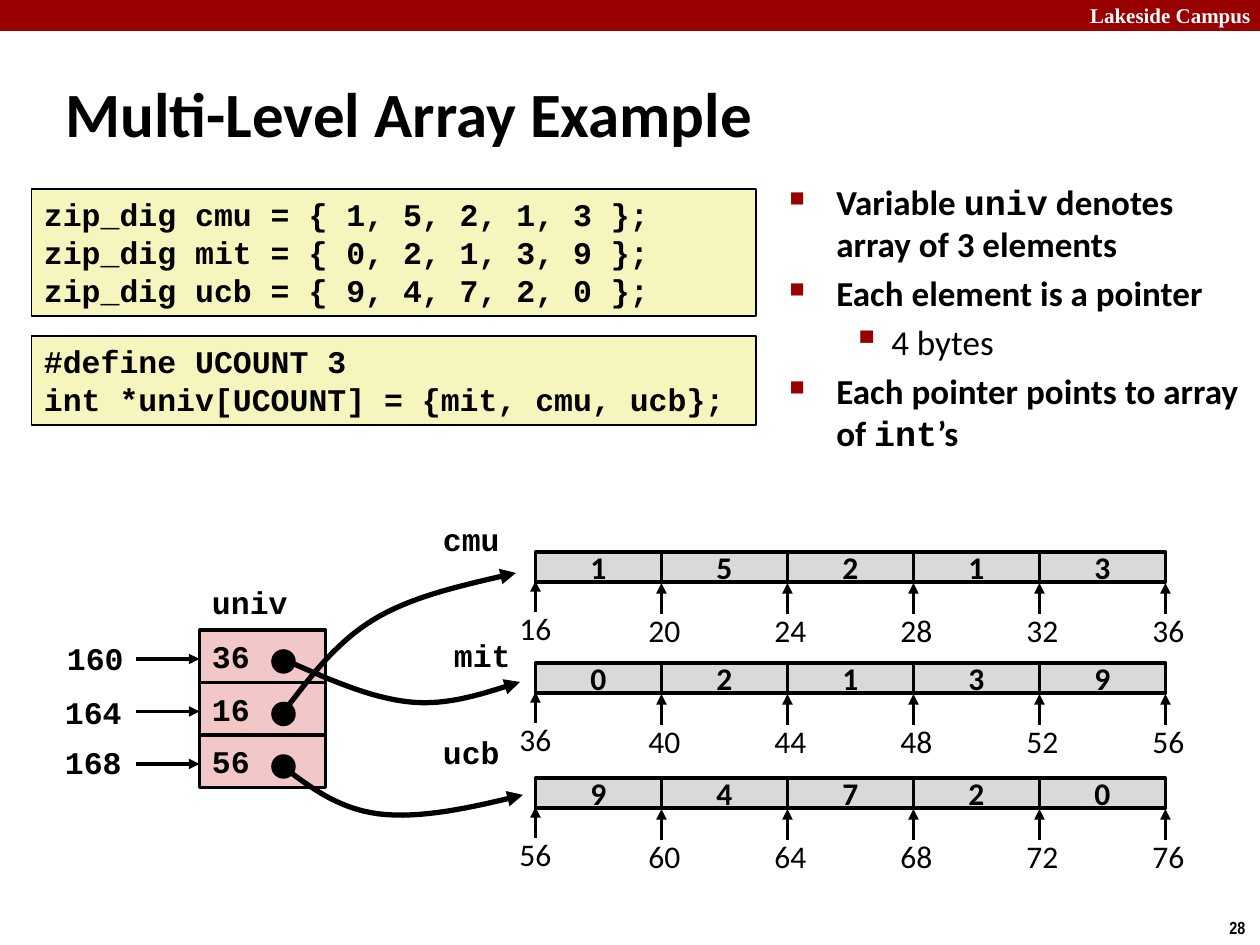
from lxml.etree import SubElement
from pptx import Presentation
from pptx.dml.color import RGBColor
from pptx.enum.shapes import MSO_CONNECTOR as CONN, MSO_SHAPE as SHAPE
from pptx.enum.text import MSO_ANCHOR as ANCHOR, PP_ALIGN as ALIGN
from pptx.oxml.ns import qn
from pptx.util import Pt

PX = 914400 // 126
BLACK = RGBColor(0x00, 0x00, 0x00)
WHITE = RGBColor(0xFF, 0xFF, 0xFF)
RED = RGBColor(0x99, 0x00, 0x00)
YELLOW = RGBColor(0xF6, 0xF5, 0xBD)
PINK = RGBColor(0xF1, 0xC7, 0xC7)
GREY = RGBColor(0xD9, 0xD9, 0xD9)
SANS, MONO = "Calibri", "Courier New"
CELL = 126


def emu(*pixels):
    """Turn pixel lengths into EMU."""
    return [round(v * PX) for v in pixels]


def style(r, size, font, bold=True, color=BLACK):
    """Format one run."""
    r.font.size, r.font.name, r.font.bold = Pt(size), font, bold
    r.font.color.rgb = color


def write(sp, text, size=18, font=MONO, bold=True, color=BLACK,
          align=ALIGN.LEFT, anchor=ANCHOR.TOP, wrap=True):
    """Fill a shape with evenly formatted text."""
    tf = sp.text_frame
    tf.text, tf.word_wrap, tf.vertical_anchor = text, wrap, anchor
    for p in tf.paragraphs:
        p.alignment = align
        for r in p.runs:
            style(r, size, font, bold, color)


def label(shapes, text, x, y, w, h=50, **fmt):
    """Add a text box."""
    sp = shapes.add_textbox(*emu(x, y, w, h))
    write(sp, text, **fmt)


def box(shapes, x, y, w, h, fill, line=2, kind=SHAPE.RECTANGLE):
    """Add a filled preset shape, outlined in black if line is given."""
    sp = shapes.add_shape(kind, *emu(x, y, w, h))
    sp.shadow.inherit = False
    sp.fill.solid()
    sp.fill.fore_color.rgb = fill
    if line:
        sp.line.color.rgb, sp.line.width = BLACK, Pt(line)
    else:
        sp.line.fill.background()
    return sp


def add_head(line, width):
    """Make a line black with a triangle at its end."""
    line.color.rgb, line.width = BLACK, Pt(width)
    SubElement(line._get_or_add_ln(), qn("a:tailEnd"), type="triangle")


def arrow(shapes, x1, y1, x2, y2):
    """Add a straight arrow."""
    c = shapes.add_connector(CONN.STRAIGHT, *emu(x1, y1, x2, y2))
    add_head(c.line, 2)
    SubElement(c._element.spPr, qn("a:effectLst"))


def bezier(a, b, c, d, steps=16):
    """Return points along a cubic curve, without its start."""
    points = []
    for i in range(1, steps + 1):
        t = i / steps
        u = 1 - t
        points.append(tuple(
            u**3 * k + 3 * u * u * t * m + 3 * u * t * t * n + t**3 * o
            for k, m, n, o in zip(a, b, c, d)))
    return points


def curve(shapes, *pts):
    """Add a curved arrow through two cubic pieces."""
    ff = shapes.build_freeform(*emu(*pts[0]))
    points = bezier(*pts[:4]) + bezier(*pts[3:])
    ff.add_line_segments([emu(*p) for p in points], close=False)
    sp = ff.convert_to_shape()
    sp.shadow.inherit = False
    sp.fill.background()
    add_head(sp.line, 3)


def bullets(shapes, x, y, w, h, items):
    """Add the bulleted list; an item is its level and (text, font) runs."""
    tf = shapes.add_textbox(*emu(x, y, w, h)).text_frame
    tf.word_wrap = True
    for i, (level, runs) in enumerate(items):
        p = tf.add_paragraph() if i else tf.paragraphs[0]
        p.level, p.space_before = level, Pt(4)
        margin, hang, size, char = [(47, 47, 60, "■"), (102, 39, 110, "▪")][level]
        pPr = p._p.get_or_add_pPr()
        pPr.set("marL", str(margin * PX))
        pPr.set("indent", str(-hang * PX))
        SubElement(SubElement(pPr, qn("a:buClr")), qn("a:srgbClr"), val=str(RED))
        SubElement(pPr, qn("a:buSzPct"), val=str(size * 1000))
        SubElement(pPr, qn("a:buChar"), char=char)
        for text, font in runs:
            r = p.add_run()
            r.text = text
            style(r, 20, font, bold=level == 0)


def pointer_table(s):
    """Draw the univ array with its addresses and pointer dots."""
    shapes = s.shapes.add_group_shape().shapes
    rows = [("160", "36", 54, 633), ("164", "16", 52, 687), ("168", "56", 52, 737)]
    for i, (address, value, x, y) in enumerate(rows):
        top = 630 + 52.5 * i
        cell = box(shapes, 199.5, top, CELL, 52.5, PINK)
        write(cell, value, anchor=ANCHOR.MIDDLE)
        arrow(shapes, 136, top + 29, 199.5, top + 29)
        label(shapes, address, x, y, 82, align=ALIGN.RIGHT, wrap=False)
        box(shapes, 273, top + 21, 21, 21, BLACK, kind=SHAPE.OVAL)
    label(shapes, "univ", 199, 577, 101, align=ALIGN.RIGHT, wrap=False)


def digit_array(s, top, digits, address):
    """Draw a row of digits with an address under each cell border."""
    shapes = s.shapes.add_group_shape().shapes
    left = 535.5
    for i, digit in enumerate(digits):
        cell = box(shapes, left + CELL * i, top, CELL, 30, GREY)
        write(cell, digit, font=SANS, align=ALIGN.CENTER, anchor=ANCHOR.MIDDLE)
    for i in range(len(digits) + 1):
        x = left + CELL * i
        shift, lift = (3, 0) if i else (0, 2)
        label(shapes, str(address + 4 * i), x + shift - 68, top + 53 - lift, 136,
              font=SANS, bold=False, align=ALIGN.CENTER)
        arrow(shapes, x, top + 62 - lift, x, top + 31 - lift)


def main():
    """Build the slide."""
    prs = Presentation()
    prs.slide_width, prs.slide_height = emu(1260, 945)
    s = prs.slides.add_slide(prs.slide_layouts[5])
    shapes = s.shapes

    box(shapes, 0, 0, 1260, 31, RED, line=0)
    label(shapes, "Lakeside Campus", 1013, -4, 250, 38, size=12,
          font="Times New Roman", color=WHITE, align=ALIGN.RIGHT)
    label(shapes, "28", 1217, 911, 43, 34, size=10, font="Arial Narrow", wrap=False)

    title = shapes.title
    title.left, title.top, title.width, title.height = emu(53, 73, 980, 79)
    write(title, "Multi-Level Array Example", size=36, font=SANS, anchor=ANCHOR.MIDDLE)

    bullets(shapes, 777, 174, 483, 315, [
        (0, [("Variable ", SANS), ("univ", MONO),
             (" denotes array of 3 elements", SANS)]),
        (0, [("Each element is a pointer", SANS)]),
        (1, [("4 bytes", SANS)]),
        (0, [("Each pointer points to array of ", SANS), ("int", MONO), ("’s", SANS)]),
    ])

    arrays = [("cmu", "15213", 16, 552, (430, 514)),
              ("mit", "02139", 36, 663, (441, 630)),
              ("ucb", "94720", 56, 778, (430, 727))]
    code = "\n".join(f"zip_dig {name} = {{ {', '.join(digits)} }};"
                     for name, digits, *_ in arrays)
    write(box(shapes, 31.5, 189, 724.5, 127, YELLOW, line=1), code)
    write(box(shapes, 31.5, 336, 724.5, 89, YELLOW, line=1),
          "#define UCOUNT 3\nint *univ[UCOUNT] = {mit, cmu, ucb};")

    pointer_table(s)
    for name, digits, address, top, (x, y) in arrays:
        label(shapes, name, x, y, 82, align=ALIGN.RIGHT, wrap=False)
        digit_array(s, top, digits, address)

    curve(shapes, (282, 714), (309, 679), (334, 644), (373, 620),
          (412, 596), (464, 585), (516, 573))
    curve(shapes, (285, 660), (328, 679), (370, 698), (410, 702),
          (449, 706), (485, 693), (520, 682))
    curve(shapes, (282, 766), (311, 788), (339, 809), (379, 814),
          (420, 819), (471, 808), (523, 795))
    prs.save("out.pptx")


main()
